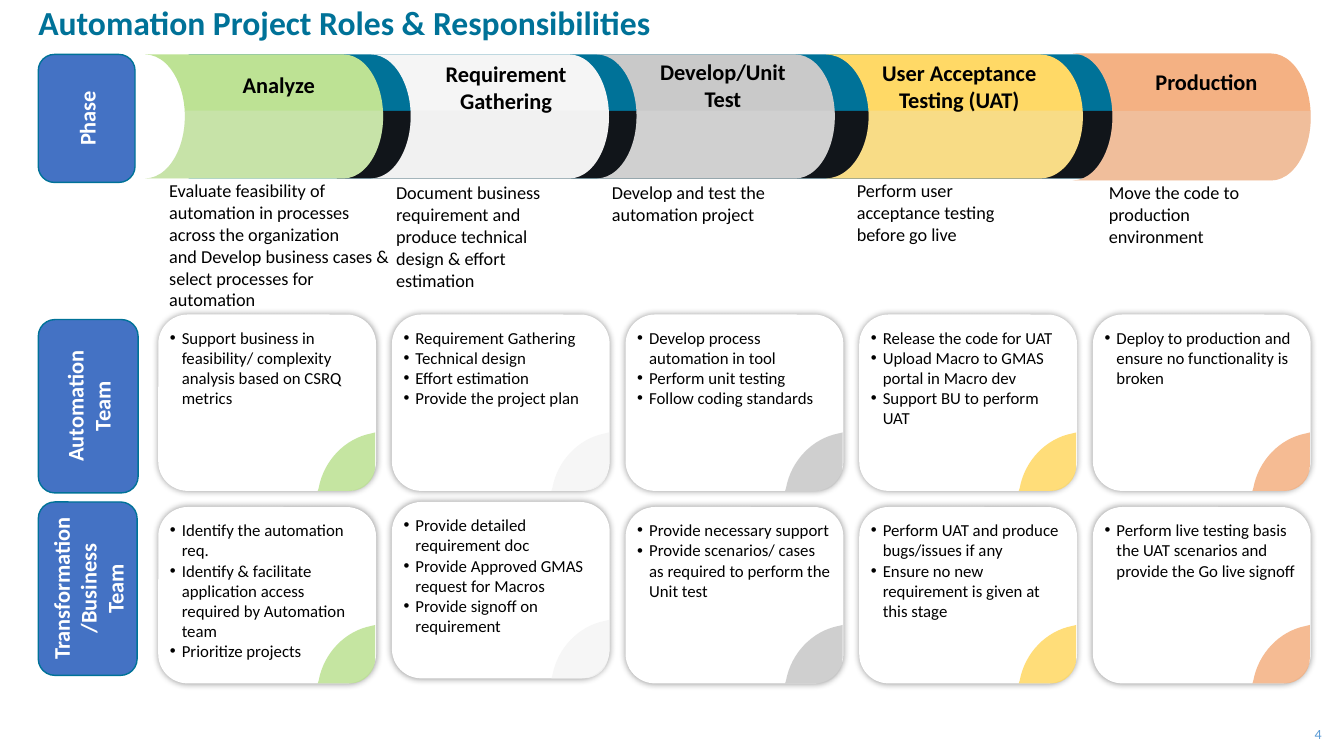
from typing import NamedTuple

import lxml.etree
import pptx
import pptx.dml.color
import pptx.enum.shapes
import pptx.enum.text
import pptx.oxml.ns
import pptx.shapes.autoshape
import pptx.slide
import pptx.util

RGB = pptx.dml.color.RGBColor
SHAPE = pptx.enum.shapes.MSO_SHAPE
ALIGN = pptx.enum.text.PP_ALIGN
ANCHOR = pptx.enum.text.MSO_ANCHOR
AUTO = pptx.enum.text.MSO_AUTO_SIZE
qn = pptx.oxml.ns.qn

TEAL = RGB(0x00, 0x72, 0x98)
INK = RGB(0x11, 0x15, 0x1A)
BLACK = RGB(0, 0, 0)
WHITE = RGB(0xFF, 0xFF, 0xFF)
BLUE = RGB(0x44, 0x72, 0xC4)
PAGE_BLUE = RGB(0x5B, 0x9B, 0xD5)
SHADE = RGB(0xE7, 0xE6, 0xE6)
GREEN = RGB(0xBD, 0xE2, 0x94)
PALE = RGB(0xF5, 0xF5, 0xF5)
GRAY = RGB(0xC9, 0xC9, 0xC9)
YELLOW = RGB(0xFF, 0xD9, 0x66)
ORANGE = RGB(0xF4, 0xB1, 0x83)

COLUMNS, ROWS = 160, 90
WIDTH, HEIGHT = pptx.util.Inches(13.33), pptx.util.Inches(7.5)
CELL = HEIGHT / ROWS
CARD_LEFT, CARD_PITCH, CARD_W, CARD_H = 18.84, 27.81, 25.92, 21
INSET_X, INSET_Y = 1.2, 0.6

Point = tuple[float, float]


class Box(NamedTuple):
    x: float
    y: float
    w: float
    h: float


class Card(NamedTuple):
    top: float
    lines: int
    text: str


class Phase(NamedTuple):
    color: RGB
    tube: Box
    name: str
    name_box: Box
    about: str
    about_box: Box
    cards: tuple[Card, Card]


class Rail(NamedTuple):
    name: str
    box: Box


PHASES = [
    Phase(GREEN, Box(17.28, 6.48, 28.32, 14.76), "Analyze", Box(27.6, 7.8, 11.16, 4.44),
          "Evaluate feasibility of automation in processes across the organization\v"
          "and Develop business cases & select processes for automation",
          Box(12.96, 20.76, 35.16, 16.92),
          (Card(37.44, 4, "Support business in feasibility/ complexity analysis based on CSRQ metrics"),
           Card(60.36, 7, "Identify the automation req.\nIdentify & facilitate application access "
                "required by Automation team\nPrioritize projects"))),
    Phase(PALE, Box(44.16, 6.48, 28.32, 14.76), "Requirement Gathering", Box(49.08, 6.48, 22.32, 7.68),
          "Document business requirement and produce technical design & effort estimation",
          Box(39.96, 21, 29.4, 14.28),
          (Card(37.44, 4, "Requirement Gathering\nTechnical design\nEffort estimation\n"
                "Provide the project plan"),
           Card(59.76, 7, "Provide detailed requirement doc\nProvide Approved GMAS request for Macros\n"
                "Provide signoff on requirement"))),
    Phase(GRAY, Box(71.04, 6.48, 28.32, 14.76), "Develop/Unit\nTest", Box(73.2, 6.24, 25.68, 7.68),
          "Develop and test the automation project", Box(65.64, 21, 29.76, 6.48),
          (Card(37.44, 4, "Develop process automation in tool\nPerform unit testing\n"
                "Follow coding standards"),
           Card(60.36, 4, "Provide necessary support\nProvide scenarios/ cases as required to "
                "perform the Unit test"))),
    Phase(YELLOW, Box(98.28, 6.48, 30.6, 14.76), "User Acceptance\nTesting (UAT)",
          Box(100.2, 6.36, 27.96, 7.68),
          "Perform user acceptance testing before go live", Box(94.8, 20.76, 27.24, 9.12),
          (Card(37.44, 5, "Release the code for UAT\nUpload Macro to GMAS portal in Macro dev\n"
                "Support BU to perform UAT"),
           Card(60.36, 5, "Perform UAT and produce bugs/issues if any\n"
                "Ensure no new requirement is given at this stage"))),
    Phase(ORANGE, Box(127.68, 6.36, 28.32, 15.12), "Production", Box(134.04, 7.44, 19.08, 4.44),
          "Move the code to production environment", Box(124.8, 21, 24.96, 9.12),
          (Card(37.44, 3, "Deploy to production and ensure no functionality is broken"),
           Card(60.36, 3, "Perform live testing basis the UAT scenarios and provide the Go live signoff"))),
]
RAILS = [
    Rail("Phase", Box(4.56, 6.48, 11.52, 15.24)),
    Rail("Automation Team", Box(4.56, 38.04, 11.88, 20.64)),
    Rail("Transformation/Business Team", Box(4.56, 59.76, 11.76, 20.64)),
]


def emu(cells: float) -> int:
    return round(cells * CELL)


def paint(sp: pptx.shapes.autoshape.Shape, color: RGB, alpha: int = 100) -> None:
    sp.shadow.inherit = False
    sp.fill.solid()
    sp.fill.fore_color.rgb = color
    sp.line.fill.background()
    if alpha < 100:
        clr = sp.element.spPr.find(qn("a:solidFill")).find(qn("a:srgbClr"))
        lxml.etree.SubElement(clr, qn("a:alpha"), val=str(alpha * 1000))


def preset(s: pptx.slide.Slide, kind: SHAPE, box: Box, color: RGB) -> pptx.shapes.autoshape.Shape:
    sp = s.shapes.add_shape(kind, *map(emu, box))
    paint(sp, color)
    return sp


def quarter(start: Point, corner: Point, end: Point) -> list[Point]:
    pulls = [tuple(a + 0.55 * (c - a) for a, c in zip(side, corner)) for side in (start, end)]
    return [*pulls, end]


def outline(s: pptx.slide.Slide, start: Point, segments: list[list[Point]],
            color: RGB, alpha: int) -> None:
    builder = s.shapes.build_freeform(emu(start[0]), emu(start[1]))
    builder.add_line_segments([(emu(x), emu(y)) for seg in segments for x, y in seg], close=True)
    sp = builder.convert_to_shape()
    nodes = iter(list(sp.element.iter(qn("a:lnTo"))))
    for seg in segments:
        first, *others = [next(nodes) for _ in seg]
        if others:
            first.tag = qn("a:cubicBezTo")
        for node in others:
            first.append(node[0])
            node.getparent().remove(node)
    paint(sp, color, alpha)


def write(sp: pptx.shapes.autoshape.Shape, text: str, size: int, color: RGB = BLACK,
          bold: bool = False, align: ALIGN = ALIGN.LEFT, anchor: ANCHOR = ANCHOR.TOP,
          inset: Box = Box(INSET_X, INSET_Y, INSET_X, INSET_Y), wrap: bool = True,
          grow: bool = False, margin: float = 0, bullet: bool = False) -> None:
    tf = sp.text_frame
    tf.text = text
    tf.word_wrap = wrap
    tf.auto_size = AUTO.SHAPE_TO_FIT_TEXT if grow else AUTO.NONE
    tf.vertical_anchor = anchor
    tf.margin_left, tf.margin_top, tf.margin_right, tf.margin_bottom = map(emu, inset)
    for p in tf.paragraphs:
        p.alignment = align
        if margin:
            pPr = p._p.get_or_add_pPr()
            pPr.set("marL", str(emu(margin)))
            pPr.set("indent", str(-emu(margin) if bullet else 0))
            if bullet:
                lxml.etree.SubElement(pPr, qn("a:buFont"), typeface="Arial")
                lxml.etree.SubElement(pPr, qn("a:buChar"), char="•")
        for r in p.runs:
            r.font.name, r.font.size, r.font.bold = "Calibri", pptx.util.Pt(size), bold
            r.font.color.rgb = color


def text_box(s: pptx.slide.Slide, box: Box, text: str, size: int, **style) -> pptx.shapes.autoshape.Shape:
    sp = s.shapes.add_textbox(*map(emu, box))
    write(sp, text, size, **style)
    return sp


def draw_tube(s: pptx.slide.Slide, phase: Phase) -> None:
    preset(s, SHAPE.FLOWCHART_STORED_DATA, phase.tube, phase.color).rotation = 180
    x, y, w, h = phase.tube
    left, right, mid, bottom = x + w / 6, x + w, y + h / 2, y + h
    outline(s, (left, mid - 0.7),
            [[(right, mid - 0.7)], [(right, mid)],
             quarter((right, mid), (right, bottom), (right - w / 6, bottom)),
             [(x, bottom)], quarter((x, bottom), (left, bottom), (left, mid))], SHADE, 25)


def draw_rail(s: pptx.slide.Slide, rail: Rail) -> None:
    sp = preset(s, SHAPE.ROUNDED_RECTANGLE, rail.box, BLUE)
    sp.line.color.rgb = TEAL
    sp.line.width = pptx.util.Pt(1)
    write(sp, rail.name, 16, WHITE, True, ALIGN.CENTER, ANCHOR.MIDDLE)
    sp.element.txBody.bodyPr.set("vert", "vert270")


def draw_card(s: pptx.slide.Slide, x: float, card: Card, color: RGB) -> None:
    sp = preset(s, SHAPE.ROUNDED_RECTANGLE, Box(x, card.top, CARD_W, CARD_H), WHITE)
    effects = sp.element.spPr.find(qn("a:effectLst"))
    shadow = lxml.etree.SubElement(effects, qn("a:outerShdw"), blurRad=str(pptx.util.Pt(5)),
                                   dist="0", algn="ctr", rotWithShape="0")
    black = lxml.etree.SubElement(shadow, qn("a:srgbClr"), val="000000")
    lxml.etree.SubElement(black, qn("a:alpha"), val="40000")
    r, b = x + CARD_W - 0.1, card.top + CARD_H
    outline(s, (r, b - 6.96),
            [[(r, b - 3)], quarter((r, b - 3), (r, b), (r - 2.95, b)),
             [(r - 6.84, b)], [(r - 6.72, b - 0.36)],
             [(r - 6.12, b - 3.6), (r - 3.6, b - 6.24), (r - 0.48, b - 6.84)]], color, 87)
    text_box(s, Box(x + 1.38, card.top + 0.96, 23.16, 1.32 + 2.4 * card.lines), card.text, 12,
             inset=Box(0, INSET_Y, 0, INSET_Y), grow=True, margin=1.42, bullet=True)


prs = pptx.Presentation()
prs.slide_width, prs.slide_height = WIDTH, HEIGHT
s = prs.slides.add_slide(prs.slide_layouts[6])

text_box(s, Box(COLUMNS - 9.4, ROWS - 4.2, 6.72, 3.24), "4", 10, color=PAGE_BLUE,
         align=ALIGN.RIGHT, anchor=ANCHOR.MIDDLE, inset=Box(0, 0, 0, 0))
title = text_box(s, Box(4.56, 0.72, 129.96, 4.08), "Automation Project Roles & Responsibilities", 24,
                 color=TEAL, bold=True, anchor=ANCHOR.MIDDLE, inset=Box(0, INSET_Y, 0, 0))
title.text_frame.paragraphs[0].line_spacing = pptx.util.Pt(24)

preset(s, SHAPE.RECTANGLE, Box(22.44, 6.48, 124.08, 14.76), TEAL)
preset(s, SHAPE.RECTANGLE, Box(40.08, 13.2, 104.28, 8.04), INK)
for phase in PHASES[-2::-1] + PHASES[-1:]:
    draw_tube(s, phase)
for rail in RAILS:
    draw_rail(s, rail)
for i, phase in enumerate(PHASES):
    text_box(s, phase.name_box, phase.name, 16, bold=True, align=ALIGN.CENTER,
             anchor=ANCHOR.MIDDLE, wrap=phase.name != "Analyze", grow=True)
    text_box(s, phase.about_box, phase.about, 13, grow=True, margin=6)
    for card in phase.cards:
        draw_card(s, CARD_LEFT + i * CARD_PITCH, card, phase.color)

prs.save("out.pptx")
